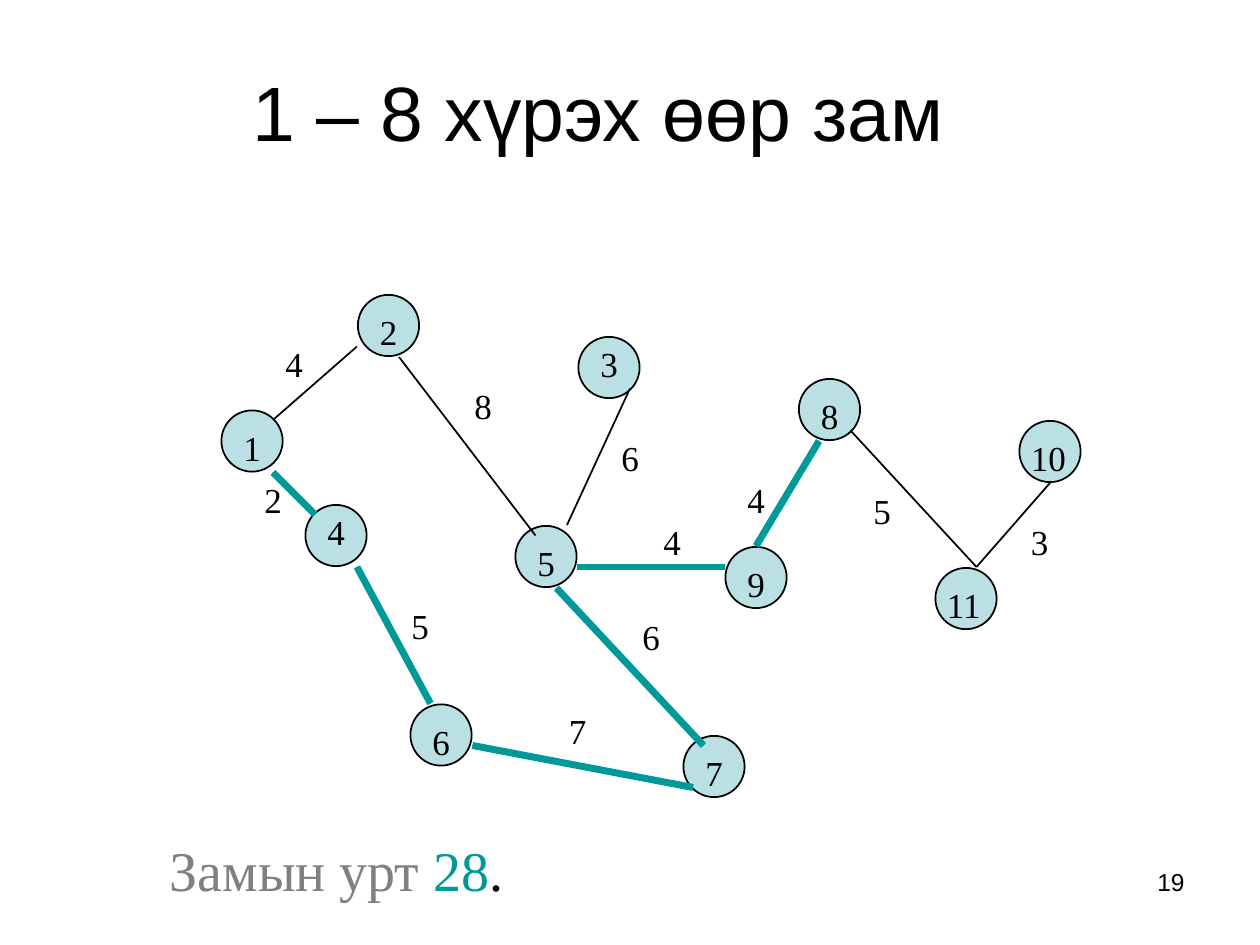
from lxml import etree
from pptx import Presentation
from pptx.dml.color import RGBColor
from pptx.enum.shapes import MSO_CONNECTOR, MSO_SHAPE
from pptx.enum.text import MSO_ANCHOR, MSO_AUTO_SIZE, PP_ALIGN
from pptx.oxml.ns import qn
from pptx.util import Pt

OVAL = MSO_SHAPE.OVAL
STRAIGHT = MSO_CONNECTOR.STRAIGHT
MIDDLE = MSO_ANCHOR.MIDDLE
FIT_SHAPE = MSO_AUTO_SIZE.SHAPE_TO_FIT_TEXT
CENTER, RIGHT = PP_ALIGN.CENTER, PP_ALIGN.RIGHT

BLACK = RGBColor(0x00, 0x00, 0x00)
GRAY = RGBColor(0x80, 0x80, 0x80)
TEAL = RGBColor(0x00, 0x99, 0x99)
NODE_FILL = RGBColor(0xBB, 0xE0, 0xE3)

SANS, SERIF = "Arial", "Times New Roman"
NODE_SIZE = 35
LABEL_HEIGHT = 31

# Node number: cell corner, offset of the number in the cell, width of the number
NODES = {
    "1": (126, 234, 6, 6, 18),
    "2": (204, 168, 6, 6, 18),
    "3": (330, 192, 6, 0, 18),
    "8": (456, 216, 6, 6, 18),
    "10": (582, 240, 0, 6, 36),
    "4": (174, 288, 6, 0, 18),
    "5": (294, 300, 6, 6, 18),
    "9": (414, 312, 6, 6, 18),
    "11": (534, 324, 0, 6, 60),
    "6": (234, 402, 6, 6, 18),
    "7": (390, 420, 6, 6, 18),
}

# Start point, end point, weight, corner of the weight, whether on the path
EDGES = [
    ((204, 198), (156, 240), "4", (156, 192), False),
    ((228, 204), (306, 306), "8", (264, 216), False),
    ((156, 270), (180, 294), "2", (144, 270), True),
    ((204, 324), (246, 402), "5", (228, 342), True),
    ((270, 426), (396, 450), "7", (318, 402), True),
    ((360, 222), (324, 300), "6", (348, 246), False),
    ((318, 336), (402, 426), "6", (360, 348), True),
    ((330, 324), (414, 324), "4", (372, 294), True),
    ((468, 252), (432, 312), "4", (420, 270), True),
    ((486, 246), (558, 324), "5", (492, 276), False),
    ((558, 324), (600, 276), "3", (582, 294), False),
]


def style(paragraph, font_name, size, color=BLACK):
    paragraph.font.name = font_name
    paragraph.font.size = Pt(size)
    paragraph.font.color.rgb = color


def add_title(slide, text):
    title = slide.shapes.title
    title.left, title.top = Pt(36), Pt(18)
    title.width, title.height = Pt(612), Pt(90)
    title.text_frame.text = text
    title.text_frame.vertical_anchor = MIDDLE
    paragraph = title.text_frame.paragraphs[0]
    paragraph.alignment = CENTER
    style(paragraph, SANS, 44)


def add_text(shapes, left, top, width, height, text=""):
    """Add a wrapping text box and return its text frame."""
    frame = shapes.add_textbox(Pt(left), Pt(top), Pt(width), Pt(height)).text_frame
    frame.word_wrap = True
    frame.text = text
    return frame


def add_number(shapes, left, top, width, number):
    frame = add_text(shapes, left, top, width, LABEL_HEIGHT, number)
    frame.auto_size = FIT_SHAPE
    style(frame.paragraphs[0], SERIF, 20)


def add_node(shapes, left, top):
    node = shapes.add_shape(
        OVAL, Pt(left + 0.5), Pt(top + 0.5), Pt(NODE_SIZE), Pt(NODE_SIZE)
    )
    node.shadow.inherit = False
    node.fill.solid()
    node.fill.fore_color.rgb = NODE_FILL
    node.line.color.rgb = BLACK
    node.line.width = Pt(1)


def add_edge(shapes, start, end, color, weight):
    edge = shapes.add_connector(STRAIGHT, *map(Pt, start + end))
    edge.line.color.rgb = color
    edge.line.width = Pt(weight)
    etree.SubElement(edge.element.spPr, qn("a:effectLst"))


def add_graph(slide):
    graph = slide.shapes.add_group_shape().shapes
    for left, top, *_ in NODES.values():
        add_node(graph, left, top)
    for start, end, *_ in EDGES:
        add_edge(graph, start, end, BLACK, 1)
    for number, (left, top, dx, dy, width) in NODES.items():
        add_number(graph, left + dx, top + dy, width, number)
    for _, _, weight, (left, top), _ in EDGES:
        add_number(graph, left, top, 24, weight)


def add_highlighted_path(slide):
    for start, end, _, _, on_path in EDGES:
        if on_path:
            add_edge(slide.shapes, start, end, TEAL, 4)


def add_path_length(slide):
    frame = add_text(slide.shapes, 90, 474, 522, 45)
    frame.auto_size = FIT_SHAPE
    paragraph = frame.paragraphs[0]
    style(paragraph, SERIF, 32)
    for text, color in (("Замын урт ", GRAY), ("28", TEAL), (".", BLACK)):
        run = paragraph.add_run()
        run.text = text
        run.font.color.rgb = color


def add_page_number(slide, number):
    frame = add_text(slide.shapes, 516, 492, 168, 37.5, number)
    paragraph = frame.paragraphs[0]
    paragraph.alignment = RIGHT
    style(paragraph, SANS, 14)


def main():
    presentation = Presentation()
    presentation.slide_width, presentation.slide_height = Pt(720), Pt(540)
    slide = presentation.slides.add_slide(presentation.slide_layouts[5])
    add_title(slide, "1 – 8 хүрэх өөр зам")
    add_graph(slide)
    add_highlighted_path(slide)
    add_path_length(slide)
    add_page_number(slide, "19")
    presentation.save("out.pptx")


if __name__ == "__main__":
    main()
